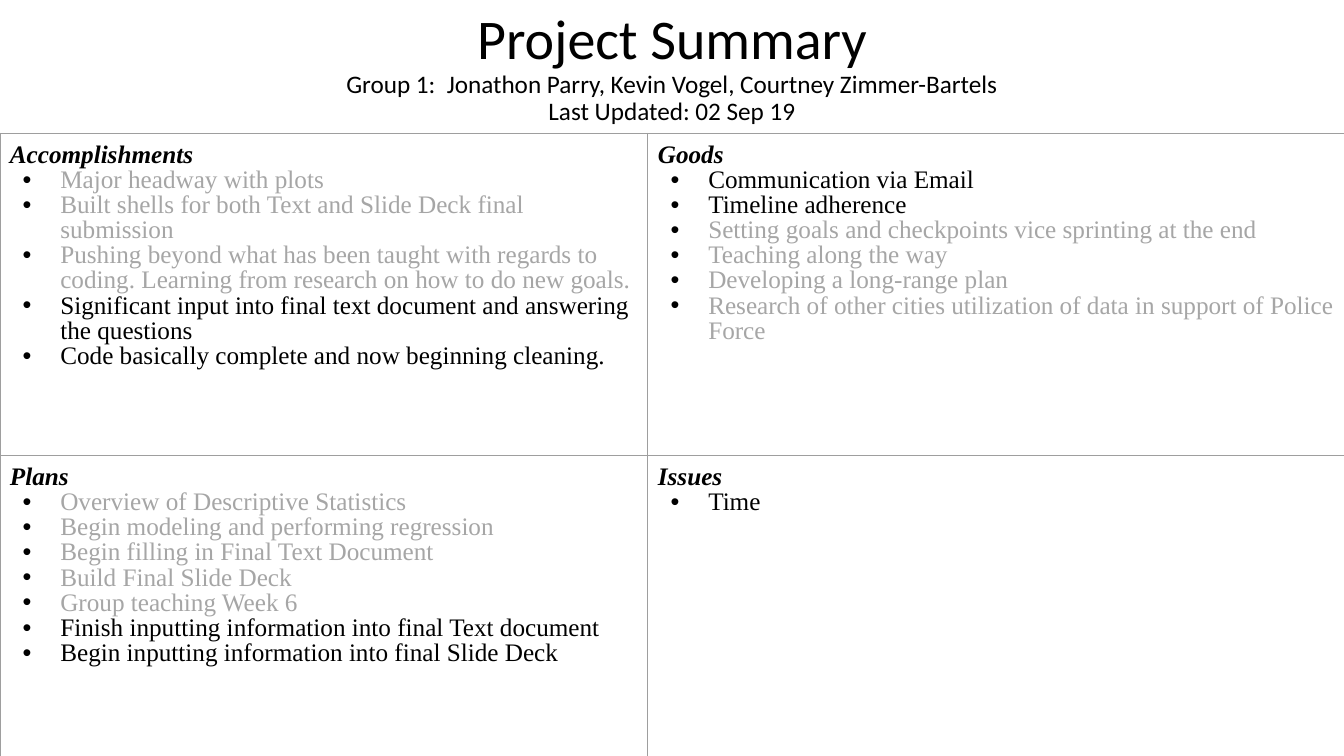
"""Build the project summary slide: a title above a four-quadrant table."""
from dataclasses import dataclass

from lxml import etree
from pptx import Presentation, util as u
from pptx.dml.color import RGBColor
from pptx.enum import text
from pptx.oxml import ns


@dataclass(frozen=True)
class Theme:
    title_font: str = "Calibri"
    body_font: str = "Times New Roman"
    title_size: int = 40
    text_size: int = 18
    line_spacing: float = 0.9
    current: str = "000000"
    earlier: str = "A6A6A6"
    border: str = "9E9E9E"
    border_width: float = 0.75


THEME = Theme()
SLIDE_WIDTH, SLIDE_HEIGHT = 33.87, 19.05
TABLE_TOP = 3.36
LEFT_COLUMN, TOP_ROW = 16.33, 8.12
INSET = 0.25
BULLET_INDENT, BULLET_HANG = 1.27, 0.95

TITLE_LINES = [
    "Project Summary",
    "Group 1:  Jonathon Parry, Kevin Vogel, Courtney Zimmer-Bartels",
    "Last Updated: 02 Sep 19",
]
OLD, NEW = THEME.earlier, THEME.current
QUADRANTS = [
    [
        ("Accomplishments", [
            ("Major headway with plots", OLD),
            ("Built shells for both Text and Slide Deck final submission", OLD),
            ("Pushing beyond what has been taught with regards to coding. "
             "Learning from research on how to do new goals.", OLD),
            ("Significant input into final text document and answering the questions", NEW),
            ("Code basically complete and now beginning cleaning.", NEW),
        ]),
        ("Goods", [
            ("Communication via Email", NEW),
            ("Timeline adherence", NEW),
            ("Setting goals and checkpoints vice sprinting at the end", OLD),
            ("Teaching along the way", OLD),
            ("Developing a long-range plan", OLD),
            ("Research of other cities utilization of data in support of Police Force", OLD),
        ]),
    ],
    [
        ("Plans", [
            ("Overview of Descriptive Statistics", OLD),
            ("Begin modeling and performing regression", OLD),
            ("Begin filling in Final Text Document", OLD),
            ("Build Final Slide Deck", OLD),
            ("Group teaching Week 6", OLD),
            ("Finish inputting information into final Text document", NEW),
            ("Begin inputting information into final Slide Deck", NEW),
        ]),
        ("Issues", [("Time", NEW)]),
    ],
]


def style_span(span, font, size, color, strong=False):
    """Format one run."""
    span.font.name = font
    span.font.size = u.Pt(size)
    span.font.color.rgb = RGBColor.from_string(color)
    span.font.bold = span.font.italic = strong


def add_color(parent, tag, color):
    """Append a colour element holding an RGB value."""
    holder = etree.SubElement(parent, ns.qn(tag))
    etree.SubElement(holder, ns.qn("a:srgbClr"), val=color)


def add_bullet(para):
    """Give a paragraph a hanging round bullet."""
    properties = para._p.get_or_add_pPr()
    properties.set("marL", str(u.Cm(BULLET_INDENT)))
    properties.set("indent", str(-u.Cm(BULLET_HANG)))
    add_color(properties, "a:buClr", THEME.current)
    etree.SubElement(properties, ns.qn("a:buFont"), typeface="Arial")
    etree.SubElement(properties, ns.qn("a:buChar"), char="•")


def add_borders(cell):
    """Draw a thin line on all four sides of a cell."""
    properties = cell._tc.get_or_add_tcPr()
    for position, side in enumerate("LRTB"):
        line = etree.Element(ns.qn(f"a:ln{side}"), w=str(u.Pt(THEME.border_width)))
        add_color(line, "a:solidFill", THEME.border)
        properties.insert(position, line)


def add_title(page):
    """Add the centred title with its two smaller lines."""
    box = page.shapes.add_textbox(u.Cm(2.33), u.Cm(0.1), u.Cm(29.21), u.Cm(3.25))
    frame = box.text_frame
    frame.word_wrap = True
    frame.vertical_anchor = text.MSO_ANCHOR.MIDDLE
    para = frame.paragraphs[0]
    para.text = "\v".join(TITLE_LINES)
    para.alignment = text.PP_ALIGN.CENTER
    para.line_spacing = THEME.line_spacing
    for span in para.runs:
        style_span(span, THEME.title_font, THEME.text_size, THEME.current)
    para.runs[0].font.size = u.Pt(THEME.title_size)


def fill_cell(cell, heading, items):
    """Write a heading and its bullets into a cell."""
    cell.margin_left = cell.margin_right = u.Cm(INSET)
    cell.margin_top = cell.margin_bottom = u.Cm(INSET)
    cell.fill.background()
    add_borders(cell)
    frame = cell.text_frame
    frame.text = "\n".join([heading] + [item for item, _ in items])
    colors = [THEME.current] + [color for _, color in items]
    for index, (para, color) in enumerate(zip(frame.paragraphs, colors)):
        para.line_spacing = THEME.line_spacing
        style_span(para.runs[0], THEME.body_font, THEME.text_size, color, index == 0)
        if index:
            add_bullet(para)


def add_quadrants(page):
    """Add the two-by-two table."""
    height = SLIDE_HEIGHT - TABLE_TOP
    table = page.shapes.add_table(
        2, 2, 0, u.Cm(TABLE_TOP), u.Cm(SLIDE_WIDTH), u.Cm(height)).table
    table.first_row = table.horz_banding = False
    for column, width in zip(table.columns, (LEFT_COLUMN, SLIDE_WIDTH - LEFT_COLUMN)):
        column.width = u.Cm(width)
    for row, size in zip(table.rows, (TOP_ROW, height - TOP_ROW)):
        row.height = u.Cm(size)
    for row, quadrants in zip(table.rows, QUADRANTS):
        for cell, (heading, items) in zip(row.cells, quadrants):
            fill_cell(cell, heading, items)


def main():
    """Create and save the deck."""
    deck = Presentation()
    deck.slide_width, deck.slide_height = u.Cm(SLIDE_WIDTH), u.Cm(SLIDE_HEIGHT)
    page = deck.slides.add_slide(deck.slide_layouts[6])
    add_title(page)
    add_quadrants(page)
    deck.save("out.pptx")


main()
